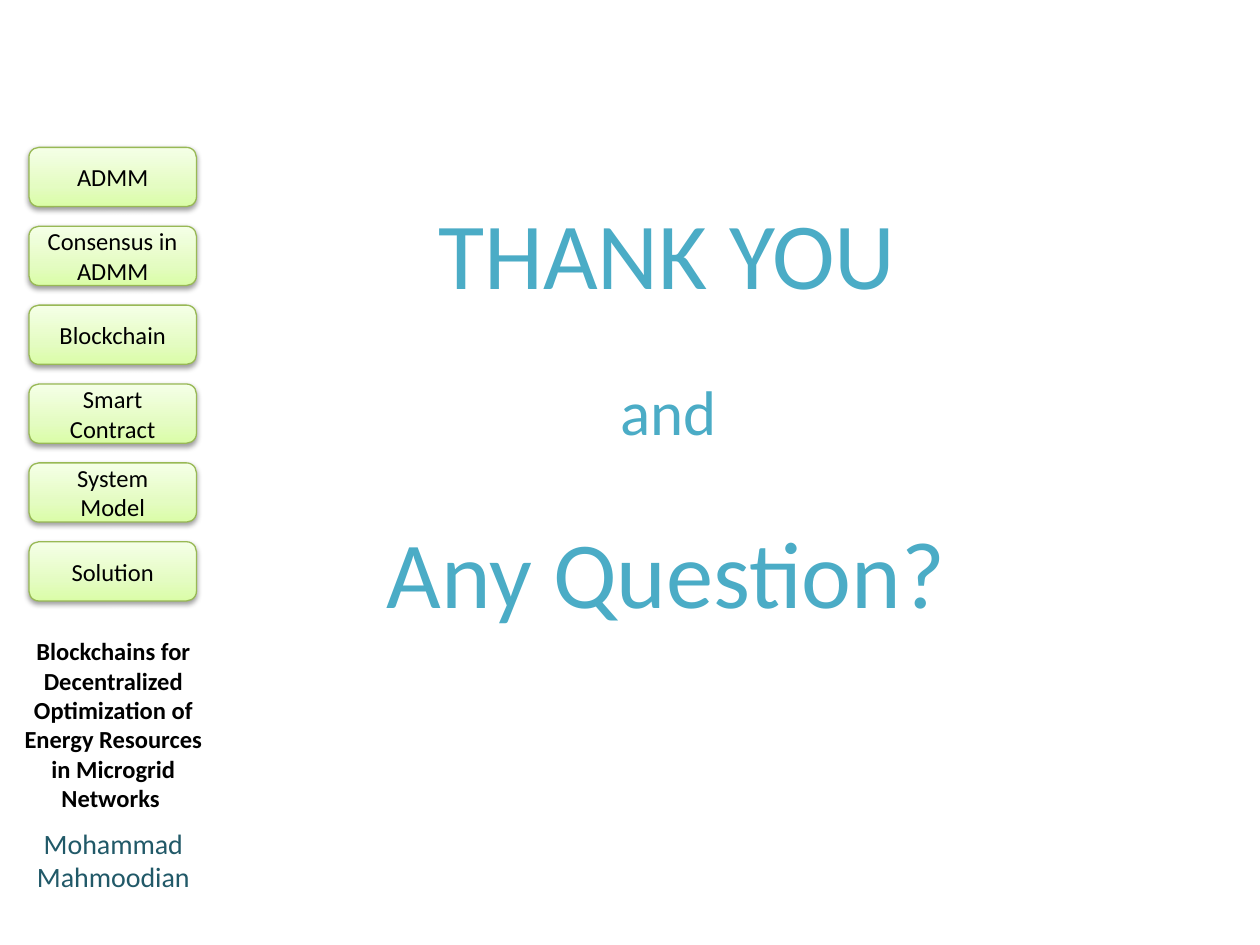
from dataclasses import dataclass

import pptx
import pptx.dml.color
import pptx.enum.shapes
import pptx.enum.text
import pptx.oxml
import pptx.oxml.ns
import pptx.util
from lxml import etree

Inches = pptx.util.Inches
Pt = pptx.util.Pt
RGBColor = pptx.dml.color.RGBColor
qn = pptx.oxml.ns.qn
Align = pptx.enum.text.PP_ALIGN


@dataclass(frozen=True)
class Gradient:
    stops: tuple[tuple[int, str], ...]
    angle: int


@dataclass(frozen=True)
class Theme:
    font: str = "Calibri"
    ink: str = "000000"
    author: str = "215968"
    button_line: str = "98B955"
    button_fill: Gradient = Gradient(((0, "DAFDA7"), (35, "E4FCC2"), (100, "F5FFE7")), 270)
    closing_fill: Gradient = Gradient(((0, "215968"), (50, "4BACC6"), (100, "93CDDD")), 90)
    button_size: int = 14
    gap_size: int = 12
    author_size: int = 16
    joining_size: int = 36
    closing_size: int = 54


@dataclass(frozen=True)
class TextBlock:
    lines: tuple[str, ...]
    box: tuple[float, float, float, float]
    size: int
    color: str | Gradient
    align: Align = Align.LEFT
    bold: bool = False
    wrap: bool = True


THEME = Theme()

# Sidebar navigation: each entry is a label made of one or more runs
TOPICS = (
    ("ADMM",),
    ("Consensus in ADMM",),
    ("Blockchain",),
    ("Smart", " ", "Contract"),
    ("System", " ", "Model"),
    ("Solution",),
)
BUTTON_LEFT, BUTTON_TOP, BUTTON_PITCH = 0.23, 1.17, 0.626
BUTTON_WIDTH, BUTTON_HEIGHT = 1.33, 0.47

TEXT_BLOCKS = (
    TextBlock(
        ("Blockchains for Decentralized Optimization of",
         "Energy Resources in Microgrid Networks "),
        (0.08, 5, 1.64, 1.75), THEME.button_size, THEME.ink, Align.CENTER, bold=True),
    TextBlock(("Mohammad Mahmoodian",), (0.08, 6.51, 1.64, 0.64),
              THEME.author_size, THEME.author, Align.CENTER),
    TextBlock(("Any Question?",), (2.97, 4.03, 4.69, 1.01),
              THEME.closing_size, THEME.closing_fill, wrap=False),
    TextBlock(("THANK YOU",), (3.38, 1.5, 3.87, 1.01),
              THEME.closing_size, THEME.closing_fill, wrap=False),
    TextBlock(("and",), (4.82, 2.91, 0.97, 0.71),
              THEME.joining_size, THEME.closing_fill, Align.RIGHT, wrap=False),
)


def apply_gradient(fill, properties, gradient: Gradient) -> None:
    """Fill a shape or run with any number of gradient stops."""
    fill.gradient()
    grad = properties.find(qn("a:gradFill"))
    for child in list(grad):
        grad.remove(child)
    stops = etree.SubElement(grad, qn("a:gsLst"))
    for position, color in gradient.stops:
        stop = etree.SubElement(stops, qn("a:gs"), pos=str(position * 1000))
        etree.SubElement(stop, qn("a:srgbClr"), val=color)
    etree.SubElement(grad, qn("a:lin"), ang=str(gradient.angle * 60000), scaled="0")


def add_shadow(shape) -> None:
    shape.shadow.inherit = False
    effects = shape.element.spPr.find(qn("a:effectLst"))
    shadow = etree.SubElement(
        effects, qn("a:outerShdw"), blurRad="40000", dist="20000",
        dir="5400000", rotWithShape="0")
    color = etree.SubElement(shadow, qn("a:srgbClr"), val=THEME.ink)
    etree.SubElement(color, qn("a:alpha"), val="38000")


def add_run(paragraph, text: str, size: int, color: str | Gradient, bold: bool = False) -> None:
    run = paragraph.add_run()
    run.text = text
    run.font.name = THEME.font
    run.font.size = Pt(size)
    run.font.bold = bold
    if isinstance(color, Gradient):
        apply_gradient(run.font.fill, run.font._element, color)
    else:
        run.font.color.rgb = RGBColor.from_string(color)


def add_button(slide, label: tuple[str, ...], top: float) -> None:
    button = slide.shapes.add_shape(
        pptx.enum.shapes.MSO_SHAPE.ROUNDED_RECTANGLE,
        Inches(BUTTON_LEFT), Inches(top), Inches(BUTTON_WIDTH), Inches(BUTTON_HEIGHT))
    apply_gradient(button.fill, button.element.spPr, THEME.button_fill)
    button.line.color.rgb = RGBColor.from_string(THEME.button_line)
    button.line.width = Pt(0.75)
    add_shadow(button)
    button.text_frame.word_wrap = True
    button.text_frame.vertical_anchor = pptx.enum.text.MSO_ANCHOR.MIDDLE
    paragraph = button.text_frame.paragraphs[0]
    paragraph.alignment = Align.CENTER
    for part in label:
        add_run(paragraph, part, THEME.button_size if part.strip() else THEME.gap_size, THEME.ink)


def add_text(slide, block: TextBlock) -> None:
    frame = slide.shapes.add_textbox(*map(Inches, block.box)).text_frame
    frame.word_wrap = block.wrap
    frame.auto_size = pptx.enum.text.MSO_AUTO_SIZE.SHAPE_TO_FIT_TEXT
    paragraph = frame.paragraphs[0]
    paragraph.alignment = block.align
    for index, line in enumerate(block.lines):
        if index:
            paragraph.add_line_break()
        add_run(paragraph, line, block.size, block.color, block.bold)


def main() -> None:
    deck = pptx.Presentation()
    deck.slide_width, deck.slide_height = Inches(10), Inches(7.5)
    slide = deck.slides.add_slide(deck.slide_layouts[6])

    # Sidebar buttons
    for index, topic in enumerate(TOPICS):
        add_button(slide, topic, BUTTON_TOP + index * BUTTON_PITCH)

    # Talk title, author and closing words
    for block in TEXT_BLOCKS:
        add_text(slide, block)

    deck.save("out.pptx")


if __name__ == "__main__":
    main()
